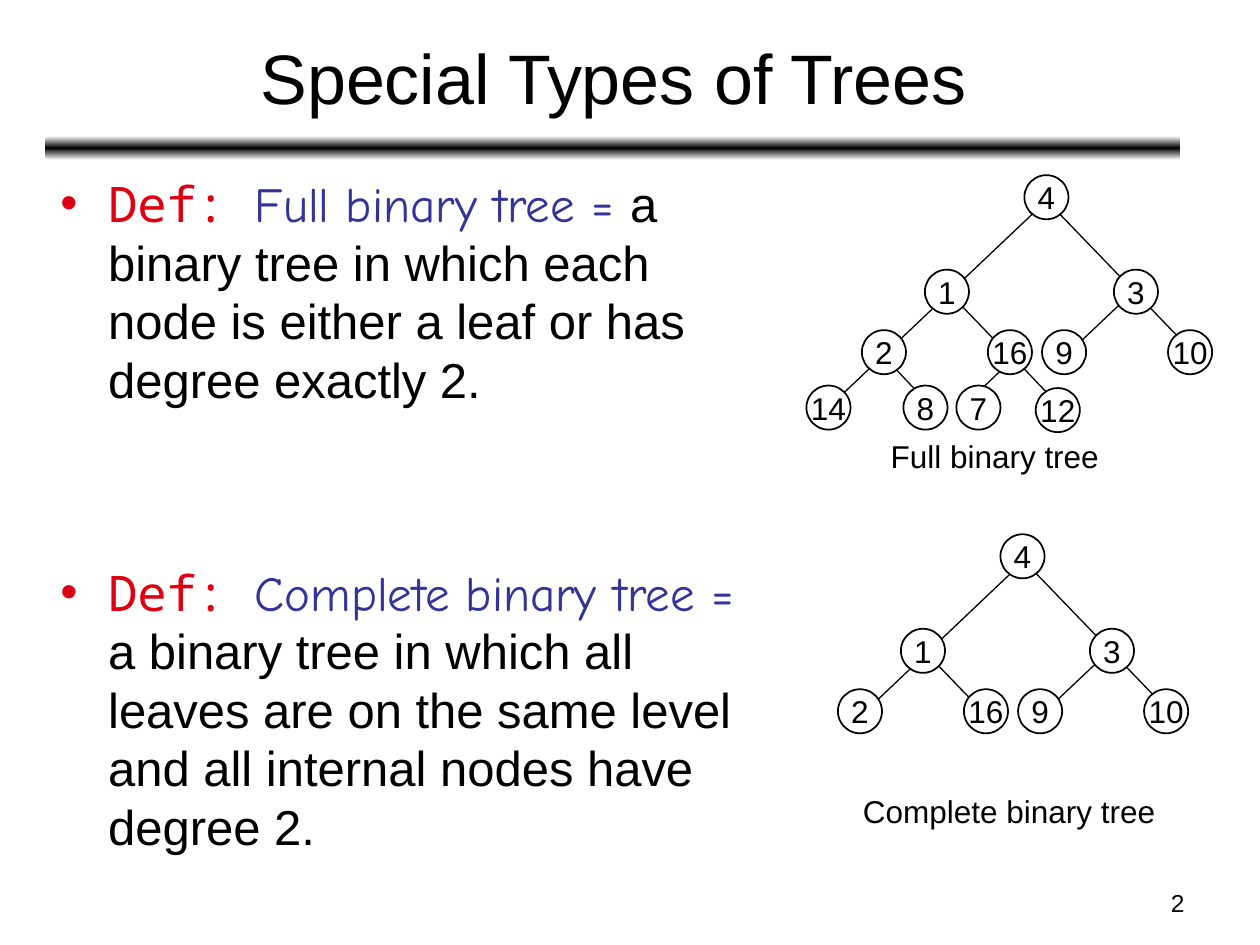
import copy
from typing import Any, NamedTuple

import pptx
import pptx.dml.color
import pptx.enum.shapes
import pptx.enum.text
import pptx.oxml
import pptx.oxml.ns
import pptx.util
from pptx.util import Inches, Pt

RGBColor = pptx.dml.color.RGBColor
MSO_SHAPE = pptx.enum.shapes.MSO_SHAPE
ANCHOR = pptx.enum.text.MSO_ANCHOR
ALIGN = pptx.enum.text.PP_ALIGN
qn = pptx.oxml.ns.qn

BLACK = RGBColor(0x00, 0x00, 0x00)
WHITE = RGBColor(0xFF, 0xFF, 0xFF)
RED = RGBColor(0xDD, 0x01, 0x11)
BLUE = RGBColor(0x33, 0x33, 0x99)

NODE_SIZE = 0.35


class Node(NamedTuple):
    label: str
    left: float
    top: float


class Edge(NamedTuple):
    x1: float
    y1: float
    x2: float
    y2: float


class Caption(NamedTuple):
    text: str
    left: float
    top: float
    width: float


class Definition(NamedTuple):
    term: str
    meaning: str
    space_before: float


UPPER_NODES = [
    Node("2", 6.84, 2.62), Node("1", 7.34, 2.14), Node("16", 7.84, 2.62),
    Node("4", 8.13, 1.39), Node("3", 8.84, 2.14), Node("9", 8.27, 2.62),
    Node("10", 9.27, 2.62),
]
BOTTOM_NODES = [
    Node("14", 6.4, 3.06), Node("8", 7.17, 3.06),
    Node("7", 7.59, 3.06), Node("12", 8.22, 3.08),
]
UPPER_EDGES = [
    Edge(8.45, 2.83, 9.01, 2.3), Edge(8.03, 2.84, 7.49, 2.28),
    Edge(9.54, 2.87, 8.2, 1.48),
]
FULL_EDGES = [
    Edge(8.53, 3.35, 7.95, 2.74), Edge(7.64, 3.23, 8.09, 2.8),
    Edge(7.48, 3.32, 6.9, 2.71), Edge(6.59, 3.22, 8.34, 1.56),
]
COMPLETE_EDGES = [Edge(6.96, 2.89, 8.37, 1.55)]
COMPLETE_SHIFT = (-0.19, 2.85)

DEFINITIONS = [
    Definition("Full binary tree = ",
               "a binary tree in which each node is either a leaf or has "
               "degree exactly 2.", 2),
    Definition("Complete binary tree = ",
               "a binary tree in which all leaves are on the same level and "
               "all internal nodes have degree 2.", 88),
]


def set_all(target: Any, **values: Any) -> None:
    for name, value in values.items():
        setattr(target, name, value)


def add_run(p: Any, text: str, size: float, font: str = "Arial",
            color: RGBColor = BLACK) -> None:
    r = p.add_run()
    r.text = text
    set_all(r.font, size=Pt(size), name=font)
    r.font.color.rgb = color


def add_label(shapes: Any, text: str, left: float, top: float, width: float,
              height: float, size: float, align: Any = ALIGN.LEFT,
              anchor: Any = ANCHOR.TOP, wrap: bool = True) -> None:
    sp = shapes.add_textbox(Inches(left), Inches(top), Inches(width), Inches(height))
    tf = sp.text_frame
    set_all(tf, word_wrap=wrap, vertical_anchor=anchor)
    p = tf.paragraphs[0]
    p.alignment = align
    add_run(p, text, size)


def add_rule(shapes: Any) -> None:
    """Draw the bar under the title, fading from black to white both ways."""
    sp = shapes.add_shape(MSO_SHAPE.ROUNDED_RECTANGLE, Inches(0.36), Inches(1.08),
                          Inches(9.01), Inches(0.19))
    sp.shadow.inherit = False
    sp.line.fill.background()
    sp.fill.gradient()
    sp.fill.gradient_angle = 90
    stops = sp.fill.gradient_stops
    for stop, color, position in zip(stops, (WHITE, BLACK), (0, 0.5)):
        stop.color.rgb = color
        stop.position = position
    gs_list = sp.fill._fill._gradFill.find(qn("a:gsLst"))
    last = copy.deepcopy(gs_list[0])
    last.set("pos", "100000")
    gs_list.append(last)


def add_bullet(p: Any, color: RGBColor) -> None:
    pPr = p._p.get_or_add_pPr()
    pPr.set("marL", str(Inches(0.38)))
    pPr.set("indent", str(-Inches(0.38)))
    bu_color = pptx.oxml.parse_xml(
        '<a:buClr xmlns:a="http://schemas.openxmlformats.org/drawingml/2006/main">'
        f'<a:srgbClr val="{color}"/></a:buClr>')
    pPr.append(bu_color)
    pPr.append(pPr.makeelement(qn("a:buFont"), {"typeface": "Arial"}))
    pPr.append(pPr.makeelement(qn("a:buChar"), {"char": "•"}))


def add_definitions(shapes: Any, definitions: list[Definition]) -> None:
    sp = shapes.add_textbox(Inches(0.38), Inches(1.33), Inches(5.79), Inches(5.63))
    tf = sp.text_frame
    tf.word_wrap = True
    for i, item in enumerate(definitions):
        p = tf.add_paragraph() if i else tf.paragraphs[0]
        set_all(p, space_before=Pt(item.space_before), line_spacing=Pt(33.5))
        add_bullet(p, RED)
        add_run(p, "Def: ", 28, "Noto Sans Mono", RED)
        add_run(p, item.term, 28, "Comic Neue", BLUE)
        add_run(p, item.meaning, 28)


def add_edge(shapes: Any, edge: Edge, dx: float, dy: float) -> None:
    line = shapes.add_connector(
        pptx.enum.shapes.MSO_CONNECTOR.STRAIGHT,
        Inches(edge.x1 + dx), Inches(edge.y1 + dy),
        Inches(edge.x2 + dx), Inches(edge.y2 + dy))
    line.line.color.rgb = BLACK
    line.line.width = Pt(0.75)
    spPr = line._element.spPr
    spPr.append(spPr.makeelement(qn("a:effectLst"), {}))


def add_node(shapes: Any, node: Node, dx: float, dy: float) -> None:
    sp = shapes.add_shape(MSO_SHAPE.OVAL, Inches(node.left + dx), Inches(node.top + dy),
                          Inches(NODE_SIZE), Inches(NODE_SIZE))
    sp.shadow.inherit = False
    sp.fill.solid()
    sp.fill.fore_color.rgb = WHITE
    sp.line.color.rgb = BLACK
    sp.line.width = Pt(1)
    tf = sp.text_frame
    set_all(tf, word_wrap=False, vertical_anchor=ANCHOR.MIDDLE)
    p = tf.paragraphs[0]
    p.alignment = ALIGN.CENTER
    add_run(p, node.label, 18)


def add_tree(s: Any, nodes: list[Node], edges: list[Edge], caption: Caption,
             dx: float = 0, dy: float = 0) -> None:
    """Draw a captioned tree as one group, moved by dx and dy inches."""
    shapes = s.shapes.add_group_shape().shapes
    for edge in edges:
        add_edge(shapes, edge, dx, dy)
    for node in nodes:
        add_node(shapes, node, dx, dy)
    add_label(shapes, caption.text, caption.left, caption.top, caption.width, 0.4,
              18, wrap=False)


def main() -> None:
    prs = pptx.Presentation()
    set_all(prs, slide_width=Inches(10), slide_height=Inches(7.5))
    s = prs.slides.add_slide(prs.slide_layouts[6])
    add_rule(s.shapes)
    add_label(s.shapes, "2", 7.17, 7, 2.33, 0.35, 14, ALIGN.RIGHT)
    add_label(s.shapes, "Special Types of Trees", 0.37, 0.11, 9, 0.99, 40,
              ALIGN.CENTER, ANCHOR.MIDDLE)
    add_definitions(s.shapes, DEFINITIONS)
    add_tree(s, UPPER_NODES + BOTTOM_NODES, FULL_EDGES + UPPER_EDGES,
             Caption("Full binary tree", 6.97, 3.42, 1.85))
    add_tree(s, UPPER_NODES, COMPLETE_EDGES + UPPER_EDGES,
             Caption("Complete binary tree", 6.75, 6.24, 2.52), *COMPLETE_SHIFT)
    prs.save("out.pptx")


if __name__ == "__main__":
    main()
